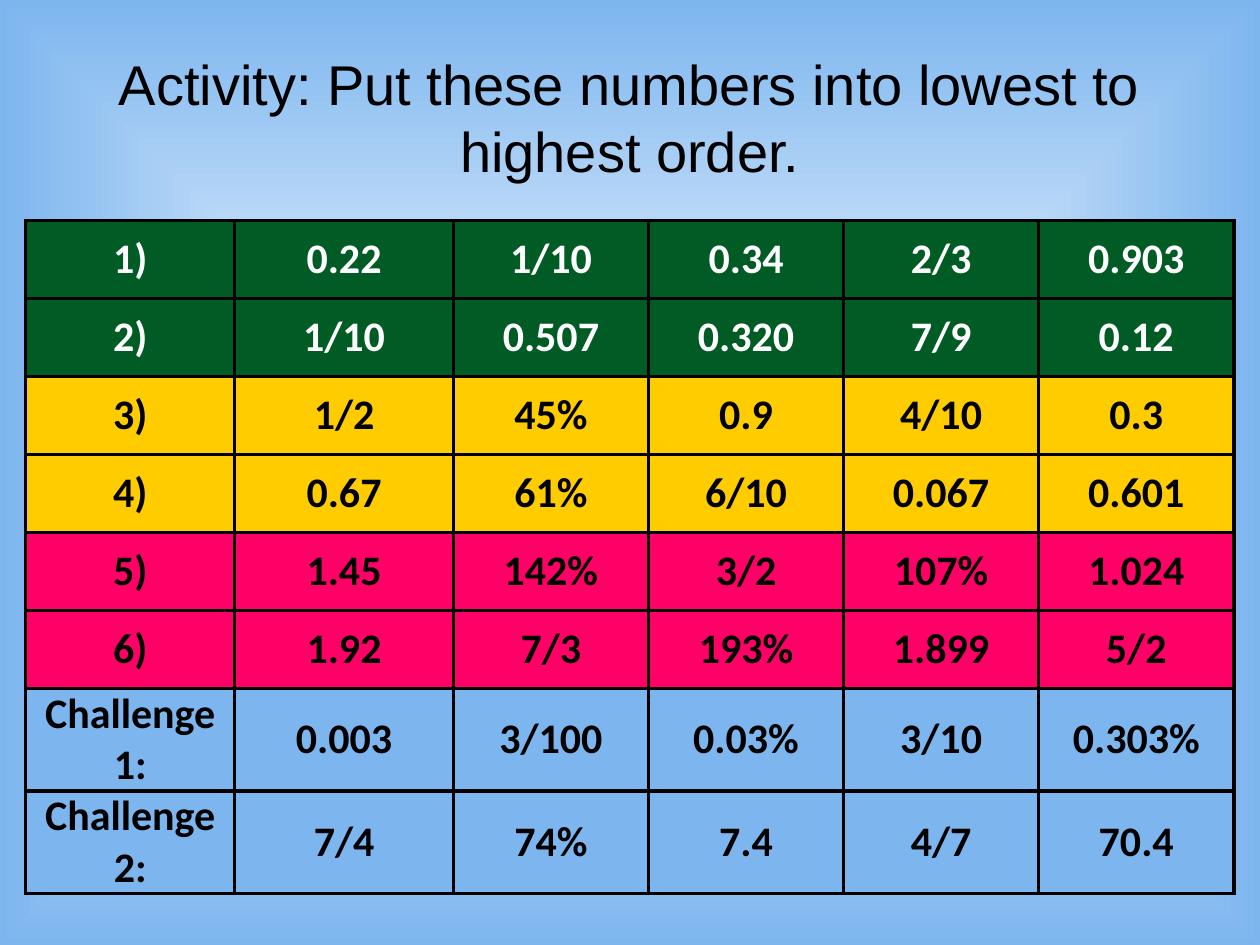
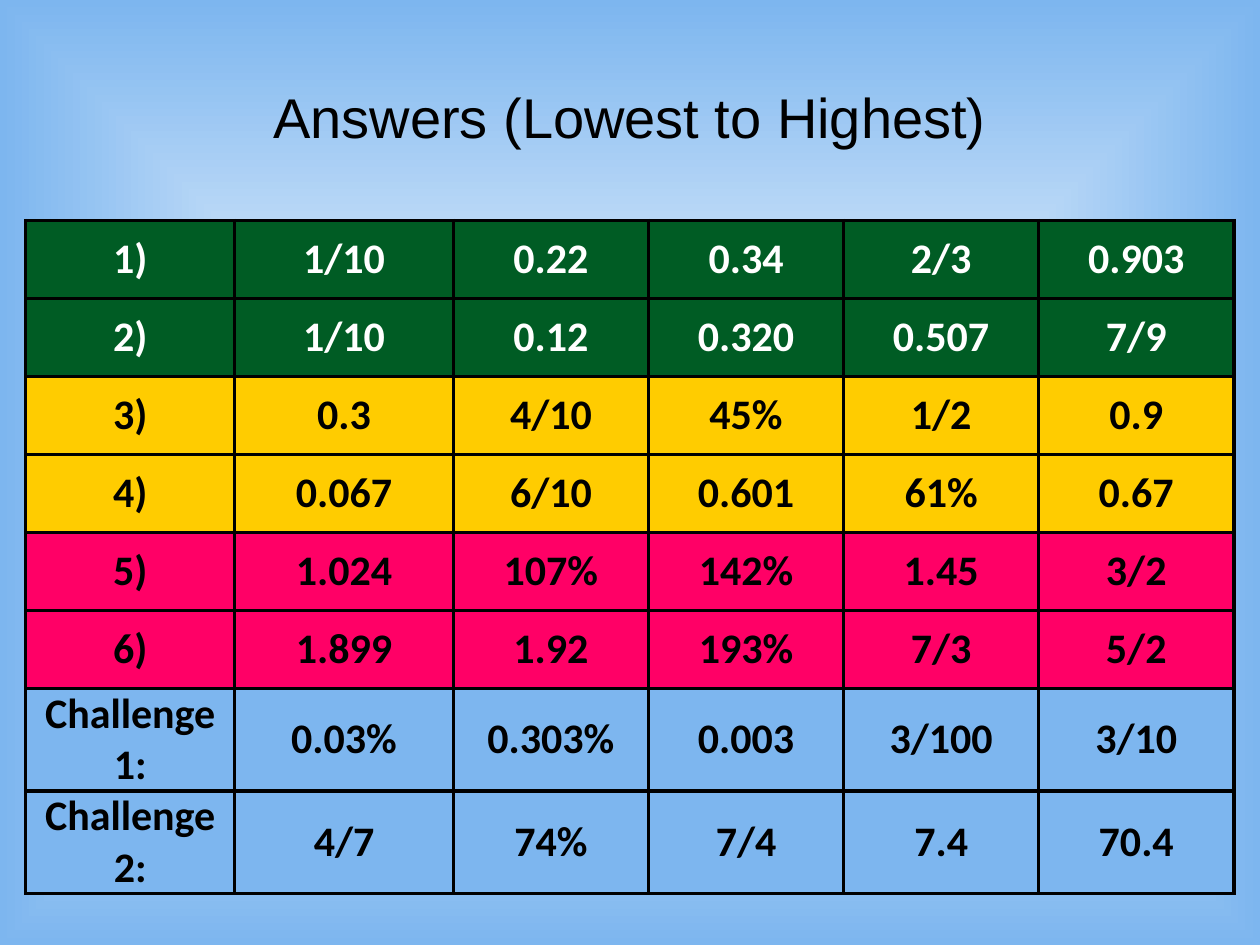
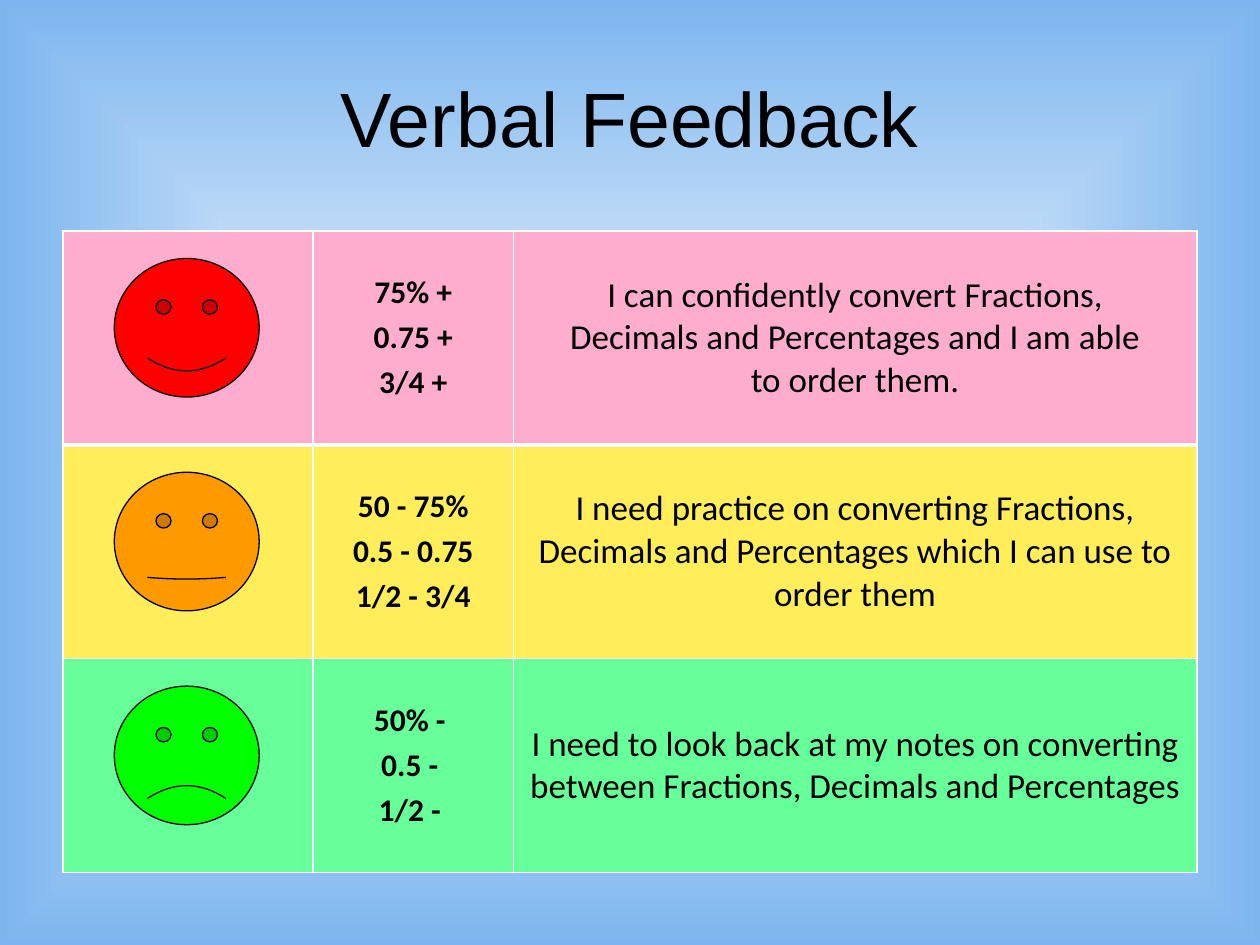
from lxml import etree
from pptx import Presentation
from pptx.dml.color import RGBColor
from pptx.enum import shapes, text
from pptx.oxml import ns, parse_xml
from pptx.util import Pt

HUES = {
    "ink": "000000", "white": "FFFFFF", "sky": "7DB6EF",
    "green": "005C24", "gold": "FFCC00", "rose": "FF0066",
    "pink": "FFADCE", "lemon": "FFED5A", "mint": "66FF99",
    "red": "FF0000", "orange": "FF9900", "lime": "00FF00",
}

# Number tables: row label, fill and text colour
ROWS = [
    ("1)", "green", "white"), ("2)", "green", "white"),
    ("3)", "gold", "ink"), ("4)", "gold", "ink"),
    ("5)", "rose", "ink"), ("6)", "rose", "ink"),
    ("Challenge 1:", "sky", "ink"), ("Challenge 2:", "sky", "ink"),
]
TASKS = [
    "0.22 1/10 0.34 2/3 0.903",
    "1/10 0.507 0.320 7/9 0.12",
    "1/2 45% 0.9 4/10 0.3",
    "0.67 61% 6/10 0.067 0.601",
    "1.45 142% 3/2 107% 1.024",
    "1.92 7/3 193% 1.899 5/2",
    "0.003 3/100 0.03% 3/10 0.303%",
    "7/4 74% 7.4 4/7 70.4",
]
ANSWERS = [
    "1/10 0.22 0.34 2/3 0.903",
    "1/10 0.12 0.320 0.507 7/9",
    "0.3 4/10 45% 1/2 0.9",
    "0.067 6/10 0.601 61% 0.67",
    "1.024 107% 142% 1.45 3/2",
    "1.899 1.92 193% 7/3 5/2",
    "0.03% 0.303% 0.003 3/100 3/10",
    "4/7 74% 7/4 7.4 70.4",
]

# Feedback rows: fill, face colour, smile, scores, statement
LEVELS = [
    ("pink", "red", 0.047, ["75% +", "0.75 +", "3/4 +"],
     "I can confidently convert Fractions,\vDecimals and Percentages "
     "and I am able\vto order them."),
    ("lemon", "orange", 0.006, ["50 - 75%", "0.5 - 0.75", "1/2 - 3/4"],
     "I need practice on converting Fractions, Decimals and Percentages "
     "which I can use to order them"),
    ("mint", "lime", -0.047, ["50% - ", "0.5 - ", "1/2 - "],
     "I need to look back at my notes on converting between Fractions, "
     "Decimals and Percentages"),
]


def rgb(hue):
    return RGBColor.from_string(HUES[hue])


class Deck:
    """Holds the shared style and the current slide."""

    def __init__(self):
        self.prs = Presentation()
        self.prs.slide_width, self.prs.slide_height = Pt(720), Pt(540)
        self.slide = None
        self.backdrop()

    def backdrop(self):
        """White centre fading to sky at the edges, on the master."""
        master = self.prs.slide_master
        fill = master.background.fill
        fill.gradient()
        for stop, hue in zip(fill.gradient_stops, ("white", "sky")):
            stop.color.rgb = rgb(hue)
        grad = master.element.find(".//" + ns.qn("a:gradFill"))
        edge = grad.findall(".//" + ns.qn("a:srgbClr"))[-1]
        etree.SubElement(edge, ns.qn("a:alpha"), val="96000")
        grad.replace(grad.find(ns.qn("a:lin")), parse_xml(
            f'<a:path {ns.nsdecls("a")} path="shape"><a:fillToRect '
            'l="50000" t="50000" r="50000" b="50000"/></a:path>'))

    def page(self, title, size):
        self.slide = self.prs.slides.add_slide(self.prs.slide_layouts[5])
        box = self.slide.shapes.title
        place = {"left": 36, "top": 21.6, "width": 648, "height": 90}
        for name, value in place.items():
            setattr(box, name, Pt(value))
        box.text_frame.vertical_anchor = text.MSO_ANCHOR.MIDDLE
        self.words(box.text_frame, [title], "ink", name="Arial",
                   size=Pt(size))

    def words(self, frame, lines, hue, gap=0, **font):
        """Fill a frame with centred paragraphs."""
        for i, line in enumerate(lines):
            para = frame.add_paragraph() if i else frame.paragraphs[0]
            para.text = line
            para.alignment = text.PP_ALIGN.CENTER
            if i:
                para.space_before = Pt(gap)
            for name, value in font.items():
                setattr(para.font, name, value)
            para.font.color.rgb = rgb(hue)

    def table(self, left, top, cols, rows):
        frame = self.slide.shapes.add_table(
            len(rows), len(cols), Pt(left), Pt(top),
            Pt(sum(cols)), Pt(sum(rows)))
        grid = frame.table
        grid.first_row = grid.horz_banding = False
        for col, width in zip(grid.columns, cols):
            col.width = Pt(width)
        for row, height in zip(grid.rows, rows):
            row.height = Pt(height)
        return grid

    def cell(self, cell, fill, hue, widths):
        """Fill and edge a cell; widths run left, right, top, bottom."""
        cell.vertical_anchor = text.MSO_ANCHOR.MIDDLE
        cell.fill.solid()
        cell.fill.fore_color.rgb = rgb(fill)
        props = cell._tc.get_or_add_tcPr()
        for i, (side, width) in enumerate(zip("LRTB", widths)):
            props.insert(i, parse_xml(
                f'<a:ln{side} {ns.nsdecls("a")} w="{int(Pt(width))}">'
                f'<a:solidFill><a:srgbClr val="{HUES[hue]}"/></a:solidFill>'
                f'</a:ln{side}>'))

    def face(self, left, top, hue, smile):
        face = self.slide.shapes.add_shape(
            shapes.MSO_SHAPE.SMILEY_FACE, Pt(left), Pt(top),
            Pt(82.8), Pt(79.2))
        face.adjustments[0] = smile
        face.shadow.inherit = False
        face.fill.solid()
        face.fill.fore_color.rgb = rgb(hue)
        face.line.color.rgb = rgb("ink")
        face.line.width = Pt(0.75)

    def numbers(self, title, data):
        """A slide with one table of numbers to order."""
        self.page(title, 32)
        grid = self.table(14.7, 126, [119.4, 125] + [111.5] * 4,
                          [44.57] * 6 + [57.6] * 2)
        for r, ((label, fill, hue), line) in enumerate(zip(ROWS, data)):
            for c, word in enumerate([label] + line.split()):
                cell = grid.cell(r, c)
                for side in ("left", "right", "top", "bottom"):
                    setattr(cell, "margin_" + side, Pt(0))
                self.cell(cell, fill, "ink", [2.25] * 4)
                self.words(cell.text_frame, [word], hue, name="Calibri",
                           size=Pt(24), bold=True)

    def feedback(self, title):
        """A slide with a face, scores and a statement on each row."""
        self.page(title, 44)
        top, high = 132, 122.2
        grid = self.table(36, top, [143, 114.4, 390.6], [high] * 3)
        edges = [(1, 1, 1, 3), (1, 1, 3, 1), (1, 1, 1, 1)]
        for r, (fill, hue, smile, scores, claim) in enumerate(LEVELS):
            for c in range(3):
                self.cell(grid.cell(r, c), fill, "white", edges[r])
            self.words(grid.cell(r, 1).text_frame, scores, "ink", 3.6,
                       name="Calibri", size=Pt(18), bold=True)
            self.words(grid.cell(r, 2).text_frame, [claim], "ink",
                       name="Calibri", size=Pt(20), bold=False)
            self.face(65.3, top + 15.7 + r * high, hue, smile)


def main():
    deck = Deck()
    deck.numbers("Activity: Put these numbers into lowest to highest order.",
                 TASKS)
    deck.numbers("Answers (Lowest to Highest)", ANSWERS)
    deck.feedback("Verbal Feedback")
    deck.prs.save("out.pptx")


if __name__ == "__main__":
    main()
